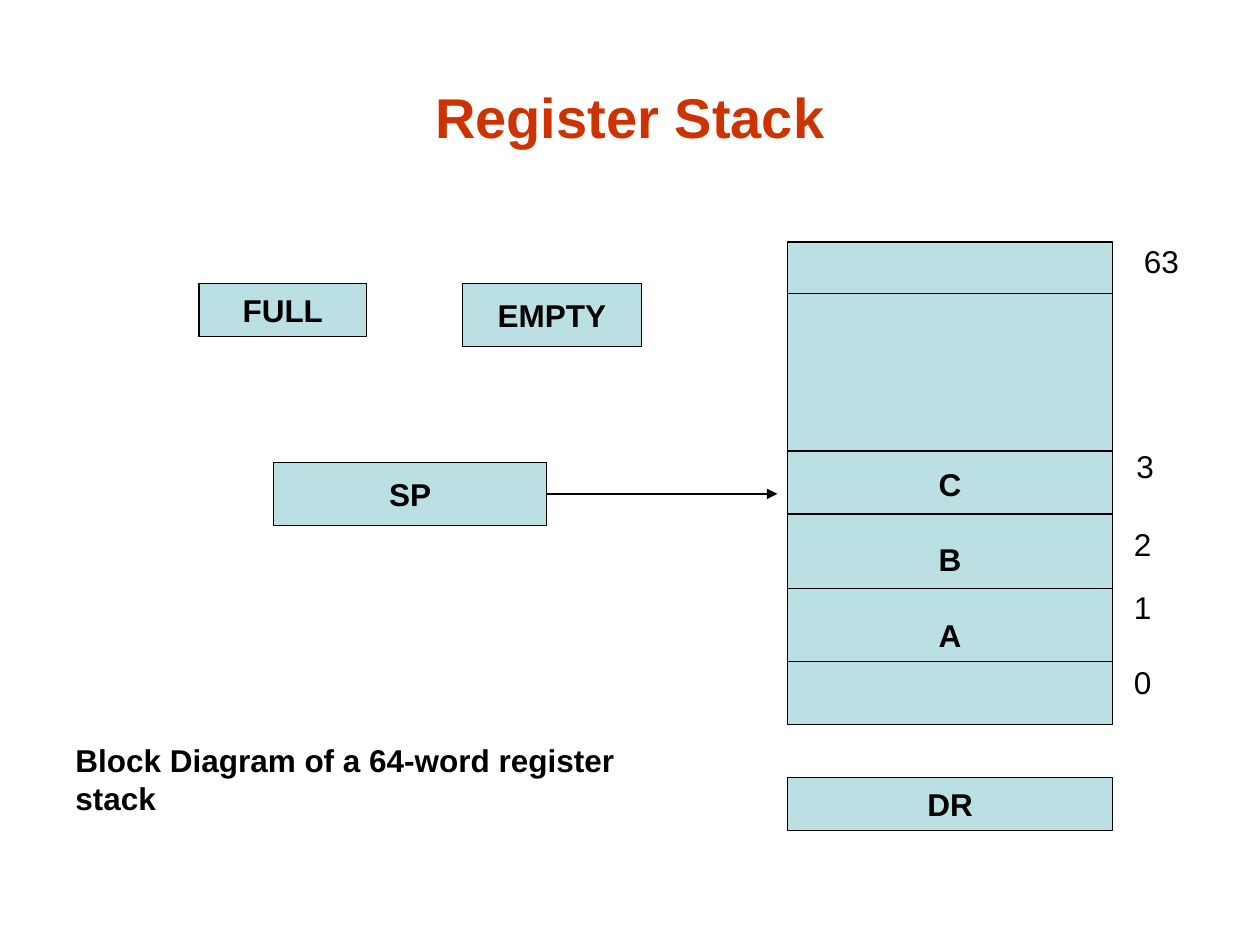
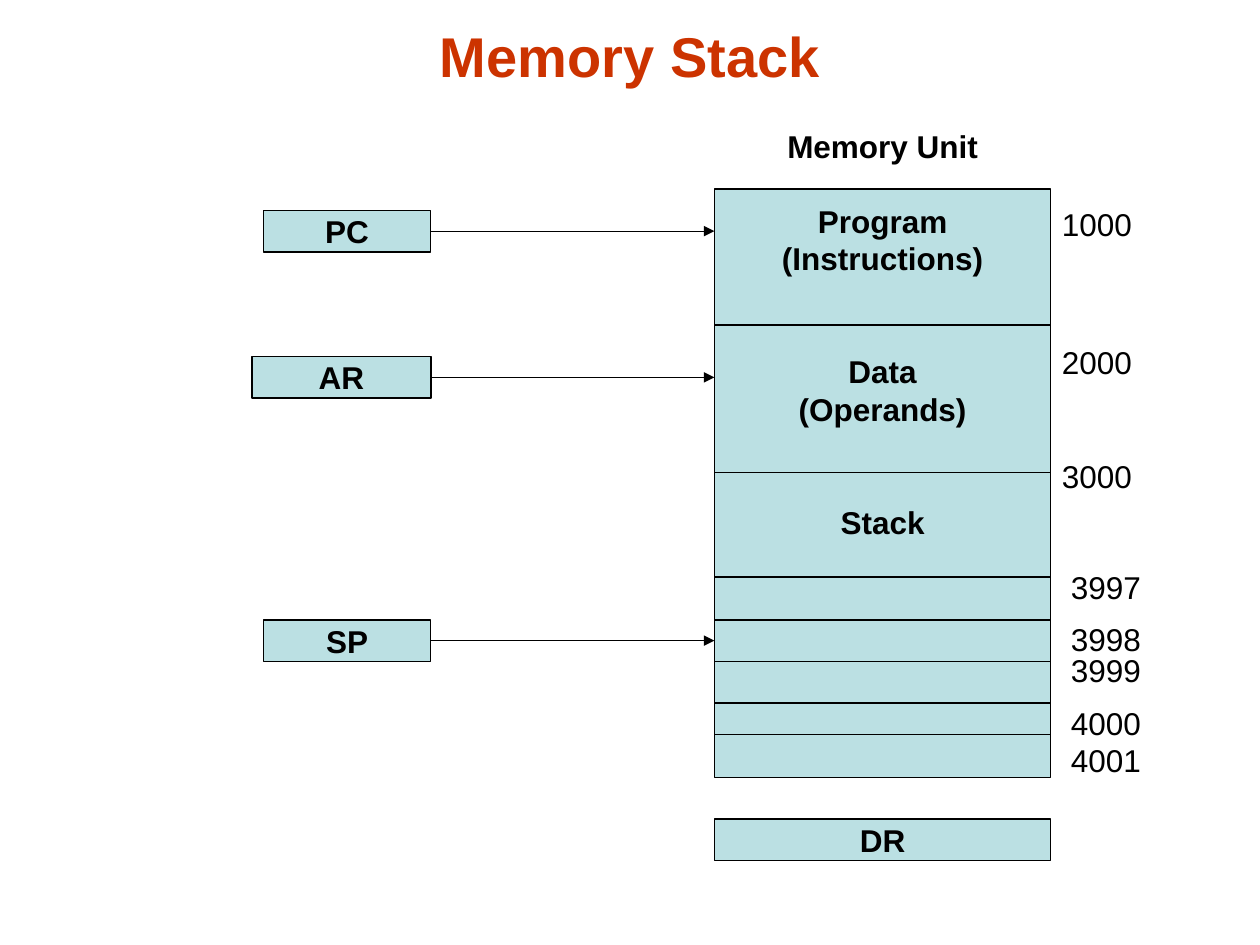
from lxml import etree
from pptx import Presentation
from pptx import util as u
from pptx.dml.color import RGBColor
from pptx.enum import shapes, text
from pptx.oxml.ns import qn


def rgb(hex_color):
    return RGBColor.from_string(hex_color)


class Deck:
    FONT = "Arial"
    INK, FILL, TITLE = "000000", "BBE0E3", "CC3300"
    LINE_PITCH = 21.5

    def __init__(self):
        self.prs = Presentation()
        self.prs.slide_width = u.Inches(10)
        self.prs.slide_height = u.Inches(7.5)
        self.s = None

    def new_slide(self, title, top, height):
        self.s = self.prs.slides.add_slide(self.prs.slide_layouts[6])
        tf = self.text_box(title, 0.5, top, 9, height)
        tf.vertical_anchor = text.MSO_ANCHOR.MIDDLE
        self.style(tf.paragraphs[0], 32, True, self.TITLE, text.PP_ALIGN.CENTER)

    def style(self, p, size=18, bold=False, color=INK, align=text.PP_ALIGN.LEFT):
        p.alignment = align
        for r in p.runs:
            r.font.name = self.FONT
            r.font.size = u.Pt(size)
            r.font.bold = bold
            r.font.color.rgb = rgb(color)

    def text_box(self, words, x, y, w, h):
        tf = self.s.shapes.add_textbox(*map(u.Inches, (x, y, w, h))).text_frame
        tf.word_wrap = True
        tf.text = words
        return tf

    def label(self, words, x, y, w, h=0.4, bold=False):
        tf = self.text_box(words, x, y, w, h)
        tf.auto_size = text.MSO_AUTO_SIZE.SHAPE_TO_FIT_TEXT
        self.style(tf.paragraphs[0], bold=bold)

    def box(self, words, x, y, w, h):
        sp = self.s.shapes.add_shape(shapes.MSO_SHAPE.RECTANGLE, *map(u.Inches, (x, y, w, h)))
        sp.shadow.inherit = False
        sp.fill.solid()
        sp.fill.fore_color.rgb = rgb(self.FILL)
        sp.line.color.rgb = rgb(self.INK)
        sp.line.width = u.Pt(0.75)
        tf = sp.text_frame
        tf.word_wrap = False
        tf.vertical_anchor = text.MSO_ANCHOR.MIDDLE
        tf.text = words
        for p in tf.paragraphs:
            self.style(p, bold=True, align=text.PP_ALIGN.CENTER)
        return tf

    def line(self, x1, y1, x2, y2, arrow=False):
        c = self.s.shapes.add_connector(shapes.MSO_CONNECTOR.STRAIGHT, *map(u.Inches, (x1, y1, x2, y2)))
        c.line.color.rgb = rgb(self.INK)
        c.line.width = u.Pt(0.75)
        if arrow:
            etree.SubElement(c.line._get_or_add_ln(), qn("a:tailEnd"), type="triangle")
        etree.SubElement(c._element.spPr, qn("a:effectLst"))

    def memory(self, groups, x, y, w, h, inset, gap_lines, dividers):
        """Draw a divided column; groups of lines are gap_lines text lines apart."""
        tf = self.box("\n".join(line for group in groups for line in group), x, y, w, h)
        tf.vertical_anchor = text.MSO_ANCHOR.TOP
        tf.margin_top = u.Inches(inset)
        start = 0
        for group in groups[:-1]:
            start += len(group)
            tf.paragraphs[start].space_before = u.Pt(gap_lines * self.LINE_PITCH)
        for divider in dividers:
            self.line(x, divider, x + w, divider)


def register_stack(deck):
    deck.new_slide("Register Stack", 0.3, 1.25)
    x, w = 6.25, 2.58
    deck.memory([["C"], ["B"], ["A"]], x, 1.92, w, 3.83, 1.77, 1,
                [2.33, 3.58, 4.08, 4.67, 5.25])
    deck.box("DR", x, 6.17, w, 0.42)
    for address, left, top in [("0", 8.9, 5.21), ("1", 8.9, 4.62), ("2", 8.9, 4.12),
                               ("3", 8.92, 3.5), ("63", 8.98, 1.87)]:
        deck.label(address, left, top, 0.5)
    deck.box("SP", 2.17, 3.67, 2.17, 0.5)
    deck.box("FULL", 1.58, 2.25, 1.33, 0.42)
    deck.box("EMPTY", 3.67, 2.25, 1.42, 0.5)
    deck.line(4.33, 3.92, 6.17, 3.92, arrow=True)
    deck.label("Block Diagram of a 64-word register stack", 0.5, 5.83, 5.08, 0.7, bold=True)


def memory_stack(deck):
    deck.new_slide("Memory Stack", 0, 0.87)
    x, w = 5.67, 2.67
    deck.memory([["Program", "(Instructions)"], ["Data", "(Operands)"], ["Stack"]],
                x, 1.5, w, 4.67, 0.1, 2, [2.58, 3.75, 4.58, 4.92, 5.25, 5.58, 5.83])
    deck.label("Memory Unit", 6.15, 0.96, 1.75, bold=True)
    deck.box("DR", x, 6.5, w, 0.33)
    for address, top in [("1000", 1.58), ("2000", 2.67), ("3000", 3.58)]:
        deck.label(address, 8.33, top, 1)
    for address, top in [("3997", 4.46), ("3998", 4.87), ("3999", 5.12),
                         ("4000", 5.54), ("4001", 5.83)]:
        deck.label(address, 8.4, top, 0.8)
    right, height = 3.42, 0.33
    for register, top, width in [("SP", 4.92, 1.33), ("AR", 2.83, 1.42), ("PC", 1.67, 1.33)]:
        deck.box(register, right - width, top, width, height)
        middle = top + height / 2
        deck.line(right, middle, x, middle, arrow=True)


def main():
    deck = Deck()
    register_stack(deck)
    memory_stack(deck)
    deck.prs.save("out.pptx")


if __name__ == "__main__":
    main()
